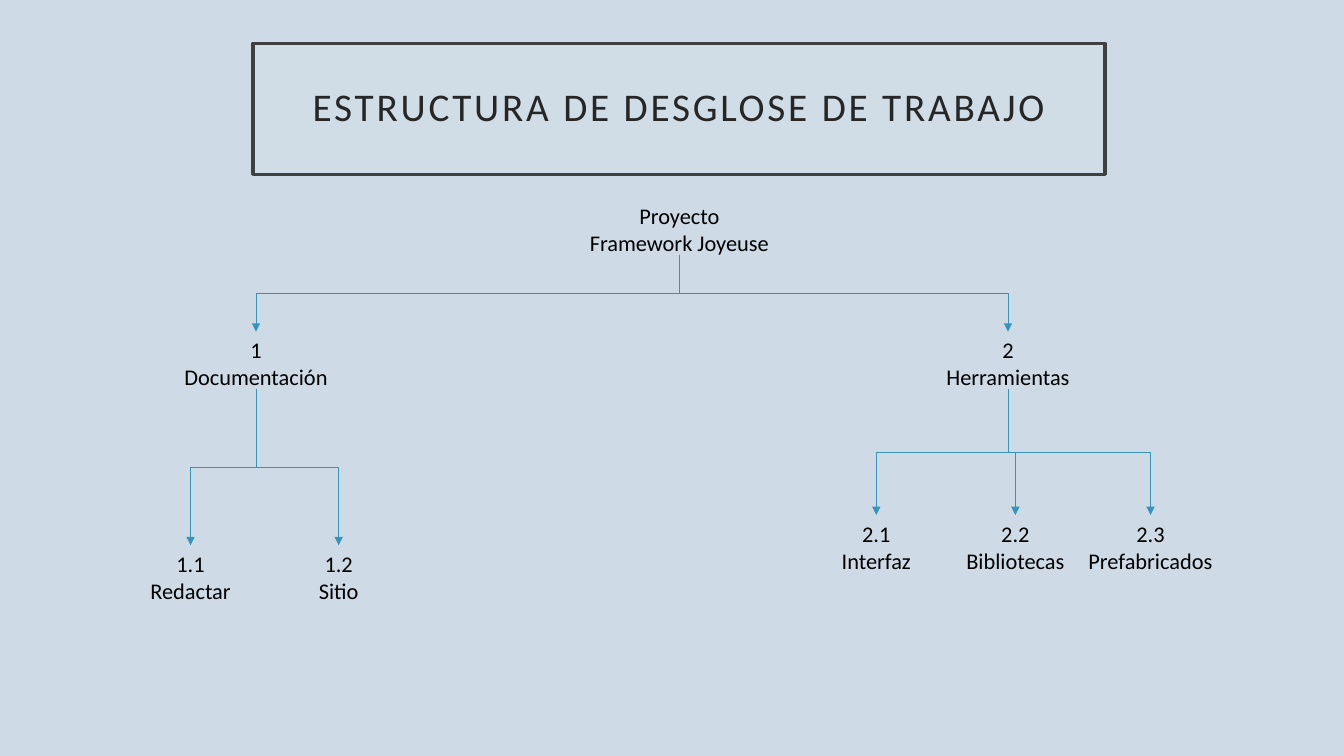
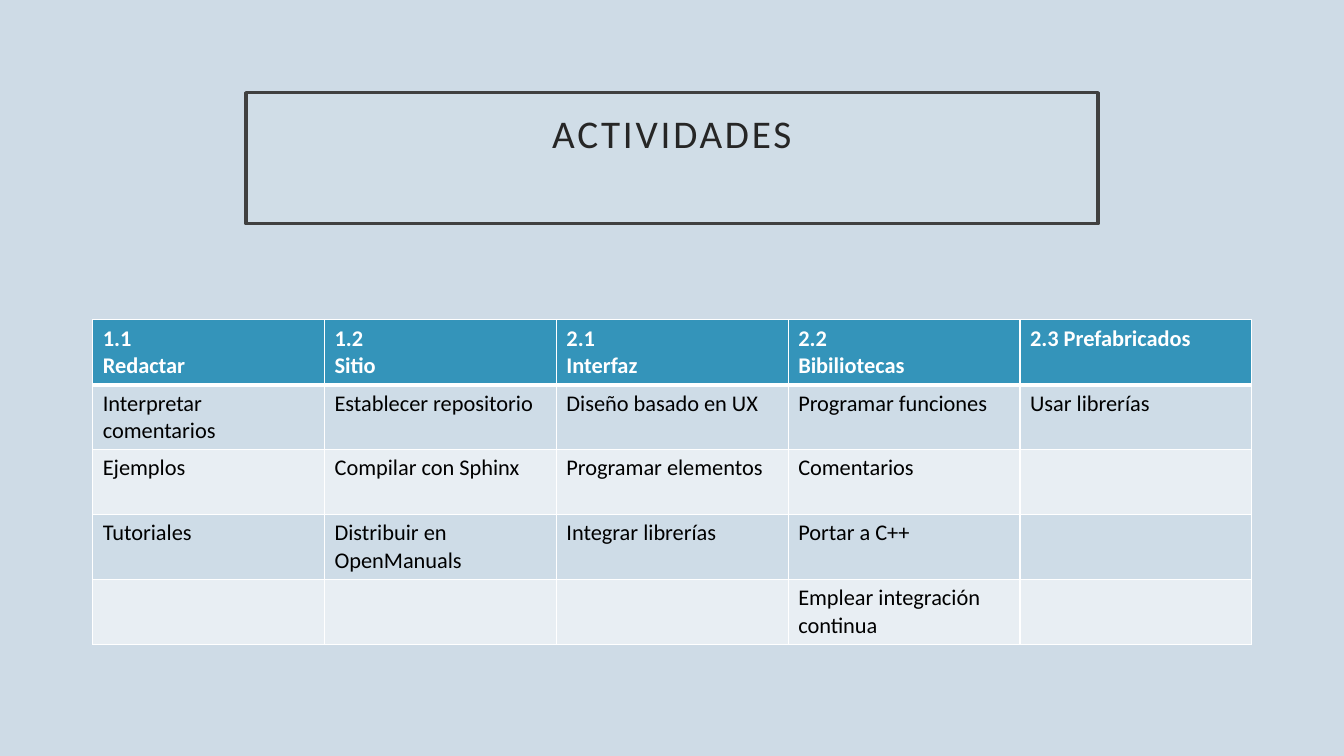
from dataclasses import dataclass

from lxml.etree import SubElement
from pptx import Presentation
from pptx.dml.color import RGBColor
from pptx.enum.shapes import MSO_CONNECTOR
from pptx.enum.text import MSO_ANCHOR, MSO_AUTO_SIZE, PP_ALIGN
from pptx.oxml import parse_xml
from pptx.oxml.ns import nsdecls, qn
from pptx.util import Inches, Pt


@dataclass(frozen=True)
class Theme:
    font: str = "Calibri"
    title_size: int = 28
    text_size: int = 16
    background: RGBColor = RGBColor.from_string("CEDBE6")
    panel: RGBColor = RGBColor.from_string("E2E9F0")
    frame: RGBColor = RGBColor.from_string("404040")
    title: RGBColor = RGBColor.from_string("262626")
    text: RGBColor = RGBColor.from_string("000000")
    white: RGBColor = RGBColor.from_string("FFFFFF")
    accent: RGBColor = RGBColor.from_string("3494BA")
    bands: tuple = (RGBColor.from_string("CEDCE7"), RGBColor.from_string("E8EEF3"))


theme = Theme()

deck = Presentation()
deck.slide_width, deck.slide_height = Inches(13.33), Inches(7.5)
column, row = deck.slide_width / 100, deck.slide_height / 100
deck.slide_master.background.fill.solid()
deck.slide_master.background.fill.fore_color.rgb = theme.background


def place(shape, left, top, width, height):
    """Set a shape's box in hundredths of the slide's width and height."""
    shape.left, shape.width = int(left * column), int(width * column)
    shape.top, shape.height = int(top * row), int(height * row)


def write(text_frame, lines, size, color, align=PP_ALIGN.LEFT, bold=False):
    """Write one paragraph per line and return the spans."""
    spans = []
    for index, line in enumerate(lines):
        para = text_frame.add_paragraph() if index else text_frame.paragraphs[0]
        para.alignment = align
        span = para.add_run()
        span.text = line
        span.font.name, span.font.size = theme.font, Pt(size)
        span.font.color.rgb, span.font.bold = color, bold
        spans.append(span)
    return spans


# Pages with framed titles: text, left, top, bottom inset
pages = []
for heading, left, top, bottom_inset in (
    ("ESTRUCTURA DE DESGLOSE DE TRABAJO", 18.83, 5.73, 0.2),
    ("ACTIVIDADES", 18.3, 12.27, 0.65),
):
    page = deck.slides.add_slide(deck.slide_layouts[5])
    pages.append(page)
    title = page.shapes.title
    place(title, left, top, 63.39, 17.33)
    title.fill.solid()
    title.fill.fore_color.rgb = theme.panel
    panel_color = title.fill._xPr.find(qn("a:solidFill"))[0]
    SubElement(panel_color, qn("a:alpha")).set("val", "15000")
    title.line.color.rgb, title.line.width = theme.frame, Pt(2.5)
    frame = title.text_frame
    frame.word_wrap, frame.auto_size = True, MSO_AUTO_SIZE.NONE
    frame.vertical_anchor = MSO_ANCHOR.MIDDLE
    frame.margin_left = frame.margin_right = frame.margin_top = Inches(0.2)
    frame.margin_bottom = Inches(bottom_inset)
    span = write(frame, [heading], theme.title_size, theme.title, PP_ALIGN.CENTER)[0]
    span.font._element.set("spc", "200")
    frame.paragraphs[0].line_spacing = 0.9

structure_page, activities_page = pages

# Work breakdown: code, name, parent, centre, top, width
nodes = (
    ("Proyecto", "Framework Joyeuse", None, 50.55, 26.13, 18.8),
    ("1", "Documentación", "Proyecto", 19.05, 43.87, 18.8),
    ("2", "Herramientas", "Proyecto", 75, 43.87, 18.8),
    ("1.1", "Redactar", "1", 14.18, 72.13, 10),
    ("1.2", "Sitio", "1", 25.2, 72.13, 10),
    ("2.1", "Interfaz", "2", 65.2, 68.13, 10),
    ("2.2", "Bibliotecas", "2", 75.55, 68.13, 10),
    ("2.3", "Prefabricados", "2", 85.6, 68.13, 10),
)
boxes = {}
for code, name, parent, centre, top, width in nodes:
    box = structure_page.shapes.add_textbox(0, 0, 0, 0)
    place(box, centre - width / 2, top, width, 7.6)
    box.text_frame.word_wrap = True
    box.text_frame.margin_left = box.text_frame.margin_right = 0
    write(box.text_frame, (code, name), theme.text_size, theme.text, PP_ALIGN.CENTER)
    boxes[code] = box

for code, name, parent, *position in nodes:
    if parent is None:
        continue
    upper, lower = boxes[parent], boxes[code]
    branch = structure_page.shapes.add_connector(MSO_CONNECTOR.ELBOW, 0, 0, 0, 0)
    branch.begin_connect(upper, 2)
    branch.end_connect(lower, 0)
    start_x, start_y = upper.left + upper.width // 2, upper.top + upper.height
    end_x, end_y = lower.left + lower.width // 2, lower.top
    # A quarter turn makes the elbow leave downwards, so its box lies on its side.
    length, spread = end_y - start_y, abs(end_x - start_x)
    branch.left = (start_x + end_x - length) // 2
    branch.top = (start_y + end_y - spread) // 2
    branch.width, branch.height = length, spread
    properties = branch._element.spPr
    transform = properties.find(qn("a:xfrm"))
    for flip in ("flipH", "flipV"):
        transform.attrib.pop(flip, None)
    to_right = end_x > start_x
    transform.set("rot", str((270 if to_right else 90) * 60000))
    if to_right:
        transform.set("flipH", "1")
    branch.line.color.rgb, branch.line.width = theme.accent, Pt(0.5)
    SubElement(properties.find(qn("a:ln")), qn("a:tailEnd")).set("type", "triangle")
    SubElement(properties, qn("a:effectLst"))

# Activities: one table row per tuple, one cell per work package
activities = (
    ("1.1\nRedactar", "1.2\nSitio", "2.1\nInterfaz", "2.2\nBibiliotecas", "2.3 Prefabricados"),
    ("Interpretar comentarios", "Establecer repositorio", "Diseño basado en UX",
     "Programar funciones", "Usar librerías"),
    ("Ejemplos", "Compilar con Sphinx", "Programar elementos", "Comentarios", ""),
    ("Tutoriales", "Distribuir en OpenManuals", "Integrar librerías", "Portar a C++", ""),
    ("", "", "", "Emplear integración continua", ""),
)
holder = activities_page.shapes.add_table(
    len(activities), len(activities[0]),
    int(6.9 * column), int(42.3 * row), int(86.25 * column), int(42.9 * row),
)
table = holder.table
table.horz_banding = False
for row_index, entries in enumerate(activities):
    header = row_index == 0
    for column_index, entry in enumerate(entries):
        cell = table.cell(row_index, column_index)
        cell_properties = cell._tc.get_or_add_tcPr()
        for side in ("L", "R", "T", "B"):
            thick = (row_index, side) in ((0, "B"), (1, "T"))
            cell_properties.append(parse_xml(
                f'<a:ln{side} {nsdecls("a")} w="{Pt(3 if thick else 1)}"><a:solidFill>'
                f'<a:srgbClr val="{theme.white}"/></a:solidFill></a:ln{side}>'
            ))
        cell.fill.solid()
        cell.fill.fore_color.rgb = theme.accent if header else theme.bands[(row_index - 1) % 2]
        if entry:
            write(cell.text_frame, entry.split("\n"), theme.text_size,
                  theme.white if header else theme.text, bold=header)

deck.save("out.pptx")
